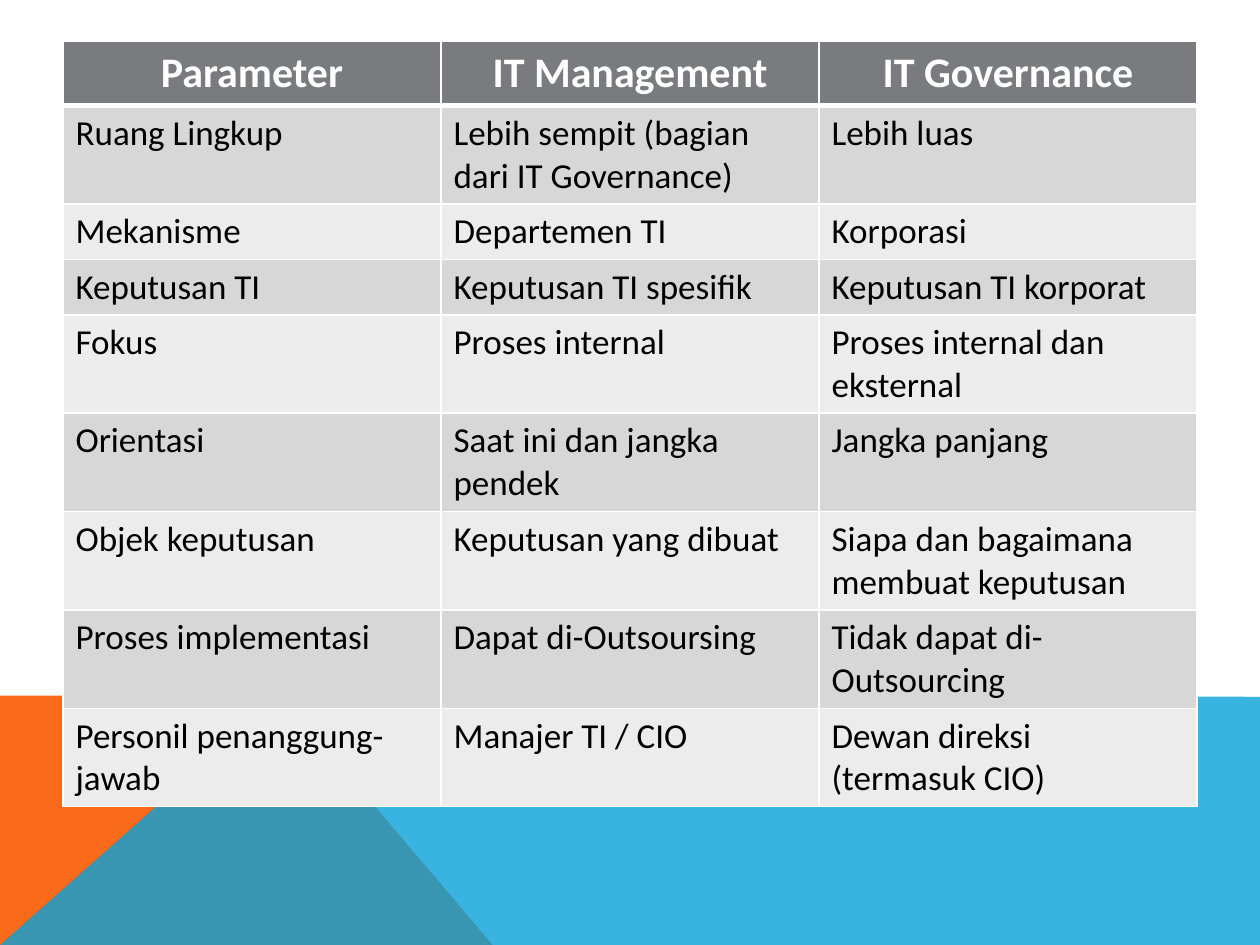
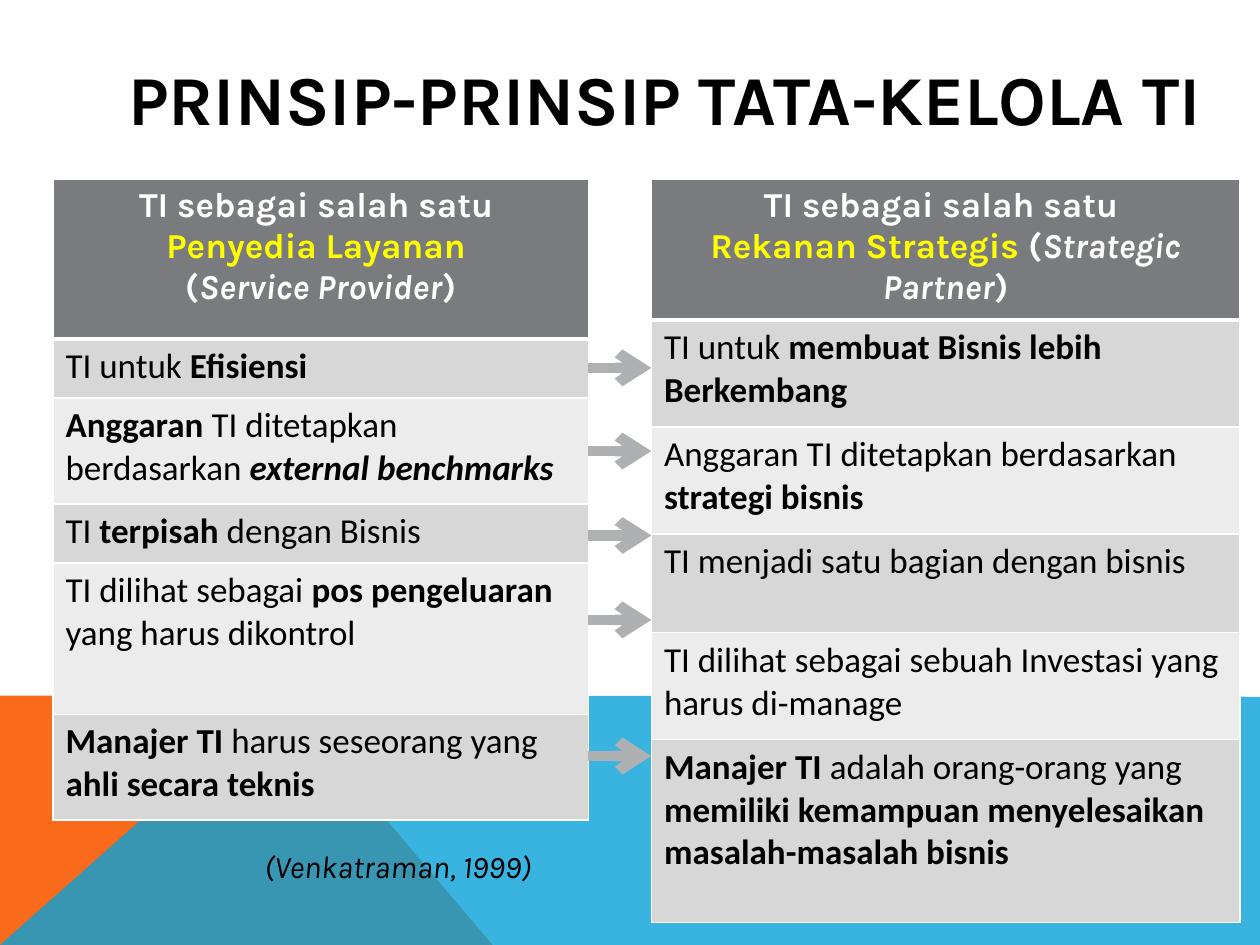
from lxml import etree
from pptx import Presentation
from pptx.dml.color import RGBColor
from pptx.enum.shapes import MSO_CONNECTOR
from pptx.enum.text import MSO_ANCHOR, PP_ALIGN
from pptx.oxml import parse_xml
from pptx.oxml.ns import nsdecls, qn
from pptx.util import Inches, Pt

STRAIGHT = MSO_CONNECTOR.STRAIGHT
MIDDLE = MSO_ANCHOR.MIDDLE
CENTER = PP_ALIGN.CENTER

WHITE = RGBColor(0xFF, 0xFF, 0xFF)
BLACK = RGBColor(0x00, 0x00, 0x00)
YELLOW = RGBColor(0xFF, 0xFF, 0x00)
ORANGE = RGBColor(0xF9, 0x6A, 0x1B)
BLUE = RGBColor(0x08, 0xA1, 0xD9)
HEADER_GRAY = RGBColor(0x79, 0x7B, 0x7E)
DARK_ROW = RGBColor(0xD7, 0xD7, 0xD8)
LIGHT_ROW = RGBColor(0xEC, 0xEC, 0xEC)
ARROW_GRAY = RGBColor(0xAF, 0xB0, 0xB2)

BODY_FONT = "Calibri"
HEADING_FONT = "Karla"
BANDS = [
    (ORANGE, 100, [(0, 7.5), (0, 5.52), (2.23, 5.52), (3.91, 7.5)]),
    (BLUE, 80, [(0, 7.5), (2.23, 5.52), (10, 5.53), (10, 7.5)]),
]


def write_runs(paragraph, pieces, font_name, size, color):
    for text, style in pieces:
        run = paragraph.add_run()
        run.text = text.rstrip("\n")
        run.font.name = font_name
        run.font.size = Pt(size)
        run.font.bold = "b" in style
        run.font.italic = "i" in style
        run.font.color.rgb = YELLOW if "y" in style else color
        if text.endswith("\n"):
            paragraph.add_line_break()


def add_grid(slide, left, top, column_widths, row_heights, rows, header_font, header_size):
    frame = slide.shapes.add_table(
        len(rows), len(column_widths), Inches(left), Inches(top),
        Inches(sum(column_widths)), Inches(sum(row_heights)))
    table = frame.table
    table.horz_banding = False
    for column, width in zip(table.columns, column_widths):
        column.width = Inches(width)
    for row_index, row in enumerate(rows):
        table.rows[row_index].height = Inches(row_heights[row_index])
        is_header = row_index == 0
        for column_index, pieces in enumerate(row):
            cell = table.cell(row_index, column_index)
            paragraph = cell.text_frame.paragraphs[0]
            cell.fill.solid()
            if is_header:
                cell.fill.fore_color.rgb = HEADER_GRAY
                paragraph.alignment = CENTER
                write_runs(paragraph, pieces, header_font, header_size, WHITE)
            else:
                cell.fill.fore_color.rgb = DARK_ROW if row_index % 2 else LIGHT_ROW
                write_runs(paragraph, pieces, BODY_FONT, 20, BLACK)
            border_widths = {"lnL": 1, "lnR": 1, "lnT": 3 if row_index == 1 else 1,
                             "lnB": 3 if is_header else 1}
            properties = cell._tc.get_or_add_tcPr()
            for position, (side, width) in enumerate(border_widths.items()):
                properties.insert(position, parse_xml(
                    f'<a:{side} {nsdecls("a")} w="{Pt(width)}"><a:solidFill>'
                    f'<a:srgbClr val="{WHITE}"/></a:solidFill></a:{side}>'))


presentation = Presentation()
presentation.slide_width = Inches(10)
presentation.slide_height = Inches(7.5)

slides = []
for _ in range(2):
    slide = presentation.slides.add_slide(presentation.slide_layouts[6])
    slide.background.fill.solid()
    slide.background.fill.fore_color.rgb = WHITE
    for color, opacity, corners in BANDS:
        points = [(Inches(x), Inches(y)) for x, y in corners]
        builder = slide.shapes.build_freeform(*points[0])
        builder.add_line_segments(points[1:], close=True)
        band = builder.convert_to_shape()
        band.shadow.inherit = False
        band.line.fill.background()
        band.fill.solid()
        band.fill.fore_color.rgb = color
        if opacity < 100:
            color_element = band._element.spPr.find(qn("a:solidFill"))[0]
            etree.SubElement(color_element, qn("a:alpha"), val=str(opacity * 1000))
    slides.append(slide)
comparison_slide, principles_slide = slides

comparison = [
    ("Parameter", "IT Management", "IT Governance"),
    ("Ruang Lingkup", "Lebih sempit (bagian dari IT Governance)", "Lebih luas"),
    ("Mekanisme", "Departemen TI", "Korporasi"),
    ("Keputusan TI", "Keputusan TI spesifik", "Keputusan TI korporat"),
    ("Fokus", "Proses internal", "Proses internal dan eksternal"),
    ("Orientasi", "Saat ini dan jangka pendek", "Jangka panjang"),
    ("Objek keputusan", "Keputusan yang dibuat", "Siapa dan bagaimana membuat keputusan"),
    ("Proses implementasi", "Dapat di-Outsoursing", "Tidak dapat di-Outsourcing"),
    ("Personil penanggung-jawab", "Manajer TI / CIO", "Dewan direksi\n(termasuk CIO)"),
]
comparison_rows = [
    [[(line, "b" if index == 0 else "") for line in text.splitlines(keepends=True)]
     for text in row]
    for index, row in enumerate(comparison)
]
add_grid(comparison_slide, 0.5, 0.33, [3] * 3, [0.41] * len(comparison),
         comparison_rows, BODY_FONT, 24)

title = principles_slide.shapes.add_textbox(Inches(0.92), Inches(0.07), Inches(9), Inches(1.4))
title.text_frame.word_wrap = True
title.text_frame.vertical_anchor = MIDDLE
write_runs(title.text_frame.paragraphs[0], [("PRINSIP-PRINSIP TATA-KELOLA TI", "b")],
           HEADING_FONT, 40, BLACK)

provider_cells = [
    [("TI sebagai salah satu \n", "b"), ("Penyedia Layanan \n", "by"), ("(", "b"),
     ("Service Provider", "bi"), (")", "b")],
    [("TI untuk ", ""), ("Efisiensi", "b")],
    [("Anggaran ", "b"), ("TI ditetapkan berdasarkan ", ""), ("external benchmarks", "bi")],
    [("TI ", ""), ("terpisah ", "b"), ("dengan Bisnis", "")],
    [("TI dilihat sebagai ", ""), ("pos pengeluaran ", "b"), ("yang harus dikontrol", "")],
    [("Manajer TI ", "b"), ("harus seseorang yang ", ""), ("ahli secara teknis", "b")],
]
partner_cells = [
    [("TI sebagai salah satu \n", "b"), ("Rekanan Strategis ", "by"), ("(", "b"),
     ("Strategic Partner", "bi"), (")", "b")],
    [("TI untuk ", ""), ("membuat Bisnis lebih Berkembang", "b")],
    [("Anggaran TI ditetapkan berdasarkan ", ""), ("strategi bisnis", "b")],
    [("TI menjadi satu bagian dengan bisnis", "")],
    [("TI dilihat sebagai sebuah Investasi yang harus di-manage", "")],
    [("Manajer TI ", "b"), ("adalah orang-orang yang ", ""),
     ("memiliki kemampuan menyelesaikan masalah-masalah bisnis", "b")],
]
for left, width, heights, cells in [
    (0.42, 4.25, [1.27, 0.47, 0.84, 0.47, 1.2, 0.84], provider_cells),
    (5.17, 4.67, [1.12, 0.85, 0.85, 0.78, 0.85, 1.45], partner_cells),
]:
    add_grid(principles_slide, left, 1.42, [width], heights,
             [[cell] for cell in cells], HEADING_FONT, 20)

for y in [2.92, 3.58, 4.25, 4.92, 6]:
    arrow = principles_slide.shapes.add_connector(
        STRAIGHT, Inches(4.67), Inches(y), Inches(5.17), Inches(y))
    arrow.line.color.rgb = ARROW_GRAY
    arrow.line.width = Pt(6)
    etree.SubElement(arrow.line._get_or_add_ln(), qn("a:tailEnd"), type="arrow")
    etree.SubElement(arrow._element.spPr, qn("a:effectLst"))

citation = principles_slide.shapes.add_textbox(Inches(2), Inches(6.67), Inches(2.78), Inches(0.4))
citation.text_frame.word_wrap = True
write_runs(citation.text_frame.paragraphs[0], [("(Venkatraman, 1999)", "i")],
           HEADING_FONT, 18, BLACK)

presentation.save("out.pptx")
